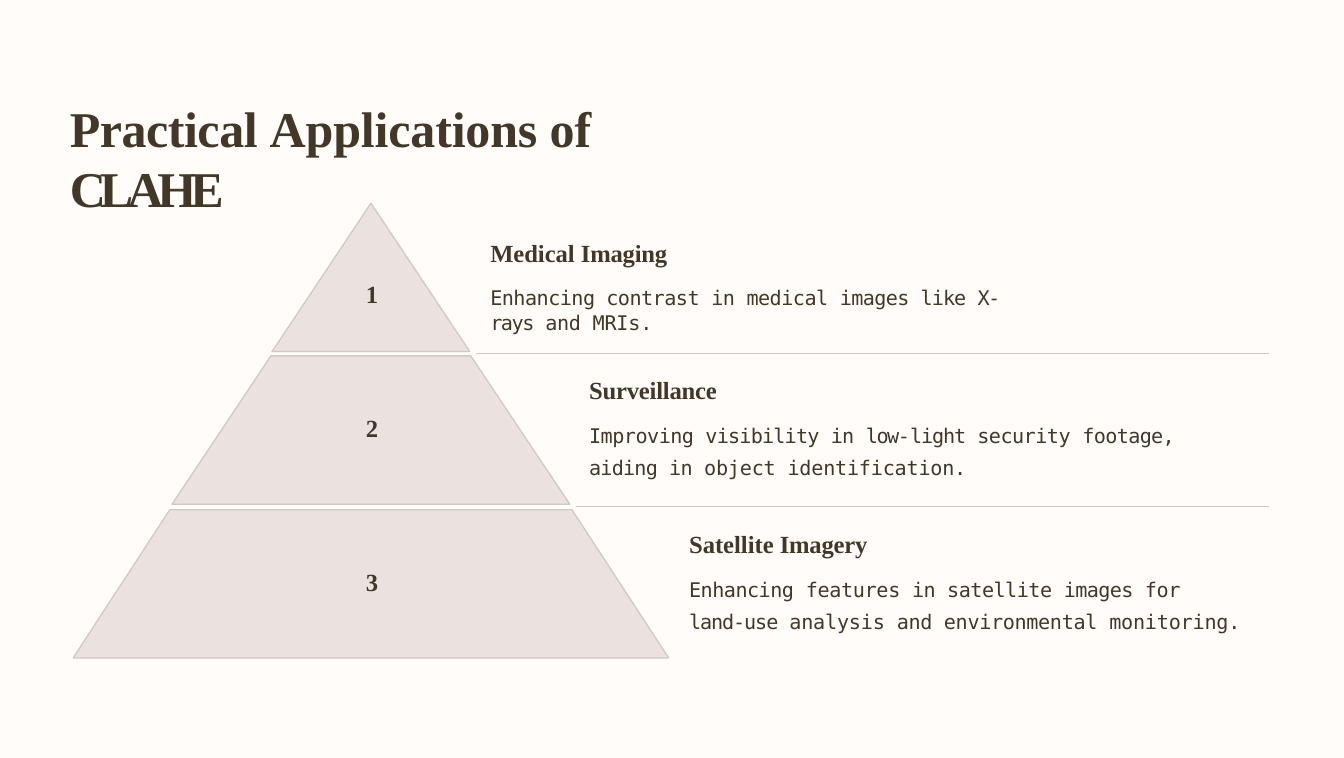
from dataclasses import dataclass

from lxml.etree import SubElement
from pptx import Presentation
from pptx.dml.color import RGBColor
from pptx.enum.shapes import MSO_CONNECTOR
from pptx.enum.text import MSO_AUTO_SIZE, PP_ALIGN
from pptx.oxml.ns import qn
from pptx.util import Pt

EMU_PER_PX = 9144  # 100 px to the inch


@dataclass(frozen=True)
class Theme:
    background: RGBColor = RGBColor.from_string("FFFCFA")
    ink: RGBColor = RGBColor.from_string("433728")
    tier: RGBColor = RGBColor.from_string("EBE2E0")
    rule: RGBColor = RGBColor.from_string("D1C8C6")
    serif: str = "Times New Roman"
    mono: str = "DejaVu Sans Mono"
    title_size: float = 33.5
    heading_size: float = 16.5
    body_size: float = 13.5
    outline: float = 0.84
    divider: float = 0.72


@dataclass(frozen=True)
class Tier:
    """One pyramid level; each run is its text and letter spacing in points."""
    top: int
    half_top: int
    half_bottom: int
    number_top: int
    number_spacing: float
    text_box: tuple
    heading: tuple
    body: tuple
    body_before: float = 6.9
    body_leading: float = 1.34


THEME = Theme()
PYRAMID_CENTER = 345
TIER_HEIGHT = 138
DIVIDER_END = 1180
TITLE = (("Practical ", -0.3), ("Applications ", -0.1), ("of ", 0), ("CLAHE", -4))
TIERS = (
    Tier(189, 0, 92, 257, -1.4, (455, 219, 515, 71),
         (("Medical ", 0), ("Imaging", -0.1)),
         (("Enhancing contrast ", -0.3), ("in ", -0.4), ("medical ", -0.3),
          ("images", -0.4), (" like ", -0.6), ("X-", -1.1), ("rays ", -0.9),
          ("and ", -0.2), ("MRIs.", -0.1)),
         body_before=12.4, body_leading=1.0),
    Tier(331, 93, 185, 382, -0.5, (547, 347, 554, 101),
         (("Surveillance", -0.1),),
         (("Improving", -0.3), (" visibility ", -0.5), ("in ", -0.4),
          ("low-", -0.9), ("light ", -0.7), ("security ", -0.3),
          ("footage, ", -0.4), ("aiding ", -0.5), ("in ", -0.4),
          ("object identification.", -0.1))),
    Tier(474, 187, 277, 525, -0.5, (640, 490, 516, 101),
         (("Satellite ", 0), ("Imagery", -0.1)),
         (("Enhancing ", -0.3), ("features ", -0.2), ("in ", -0.4),
          ("satellite ", -0.3), ("images ", -0.4), ("for ", -0.2),
          ("land-use ", -0.7), ("analysis ", -0.1),
          ("and environmental ", -0.2), ("monitoring.", -0.1))),
)


def px(*lengths):
    return [length * EMU_PER_PX for length in lengths]


def add_text_frame(slide, box):
    frame = slide.shapes.add_textbox(*px(*box)).text_frame
    frame.word_wrap = True
    frame.auto_size = MSO_AUTO_SIZE.SHAPE_TO_FIT_TEXT
    frame.margin_left, frame.margin_top = px(1, 2)
    frame.margin_right = frame.margin_bottom = 0
    return frame


def write_runs(paragraph, runs, size, before, font=THEME.serif, bold=True):
    paragraph.space_before = Pt(before)
    paragraph.font.name = font
    paragraph.font.size = Pt(size)
    paragraph.font.bold = bold
    paragraph.font.color.rgb = THEME.ink
    for text, spacing in runs:
        run = paragraph.add_run()
        run.text = text
        run.font.name = font
        run.font.size = Pt(size)
        run.font.bold = bold
        run.font.color.rgb = THEME.ink
        run.font._element.set("spc", str(round(spacing * 100)))


def add_title(slide):
    frame = add_text_frame(slide, (64, 89, 634, 59))
    write_runs(frame.paragraphs[0], TITLE, THEME.title_size, 1.2)


def add_tier_shape(slide, tier):
    bottom = tier.top + TIER_HEIGHT
    corners = list(dict.fromkeys((
        (PYRAMID_CENTER - tier.half_top, tier.top),
        (PYRAMID_CENTER + tier.half_top, tier.top),
        (PYRAMID_CENTER + tier.half_bottom, bottom),
        (PYRAMID_CENTER - tier.half_bottom, bottom),
    )))
    outline = slide.shapes.build_freeform(*corners[0], scale=EMU_PER_PX)
    outline.add_line_segments(corners[1:], close=True)
    level = outline.convert_to_shape()
    level.shadow.inherit = False
    level.fill.solid()
    level.fill.fore_color.rgb = THEME.tier
    level.line.color.rgb = THEME.rule
    level.line.width = Pt(THEME.outline)


def add_number(slide, tier, number):
    frame = add_text_frame(slide, (PYRAMID_CENTER - 7, tier.number_top, 15, 31))
    label = frame.paragraphs[0]
    label.alignment = PP_ALIGN.CENTER
    write_runs(label, ((str(number), tier.number_spacing),), THEME.heading_size, 1.4)


def add_description(slide, tier):
    frame = add_text_frame(slide, tier.text_box)
    write_runs(frame.paragraphs[0], tier.heading, THEME.heading_size, 1.4)
    body = frame.add_paragraph()
    body.line_spacing = tier.body_leading
    write_runs(body, tier.body, THEME.body_size, tier.body_before, THEME.mono, False)


def add_divider(slide, tier):
    """Draw the rule in the gap below a tier."""
    start = PYRAMID_CENTER + tier.half_bottom + 6
    y = tier.top + TIER_HEIGHT + 2
    divider = slide.shapes.add_connector(
        MSO_CONNECTOR.STRAIGHT, *px(start, y, DIVIDER_END, y))
    divider.line.color.rgb = THEME.rule
    divider.line.width = Pt(THEME.divider)
    SubElement(divider._element.spPr, qn("a:effectLst"))


def main():
    presentation = Presentation()
    presentation.slide_width, presentation.slide_height = px(1250, 705)
    slide = presentation.slides.add_slide(presentation.slide_layouts[6])
    slide.background.fill.solid()
    slide.background.fill.fore_color.rgb = THEME.background
    add_title(slide)
    for number, tier in enumerate(TIERS, start=1):
        add_tier_shape(slide, tier)
        add_number(slide, tier, number)
        add_description(slide, tier)
    for tier in TIERS[:-1]:
        add_divider(slide, tier)
    presentation.save("out.pptx")


if __name__ == "__main__":
    main()
